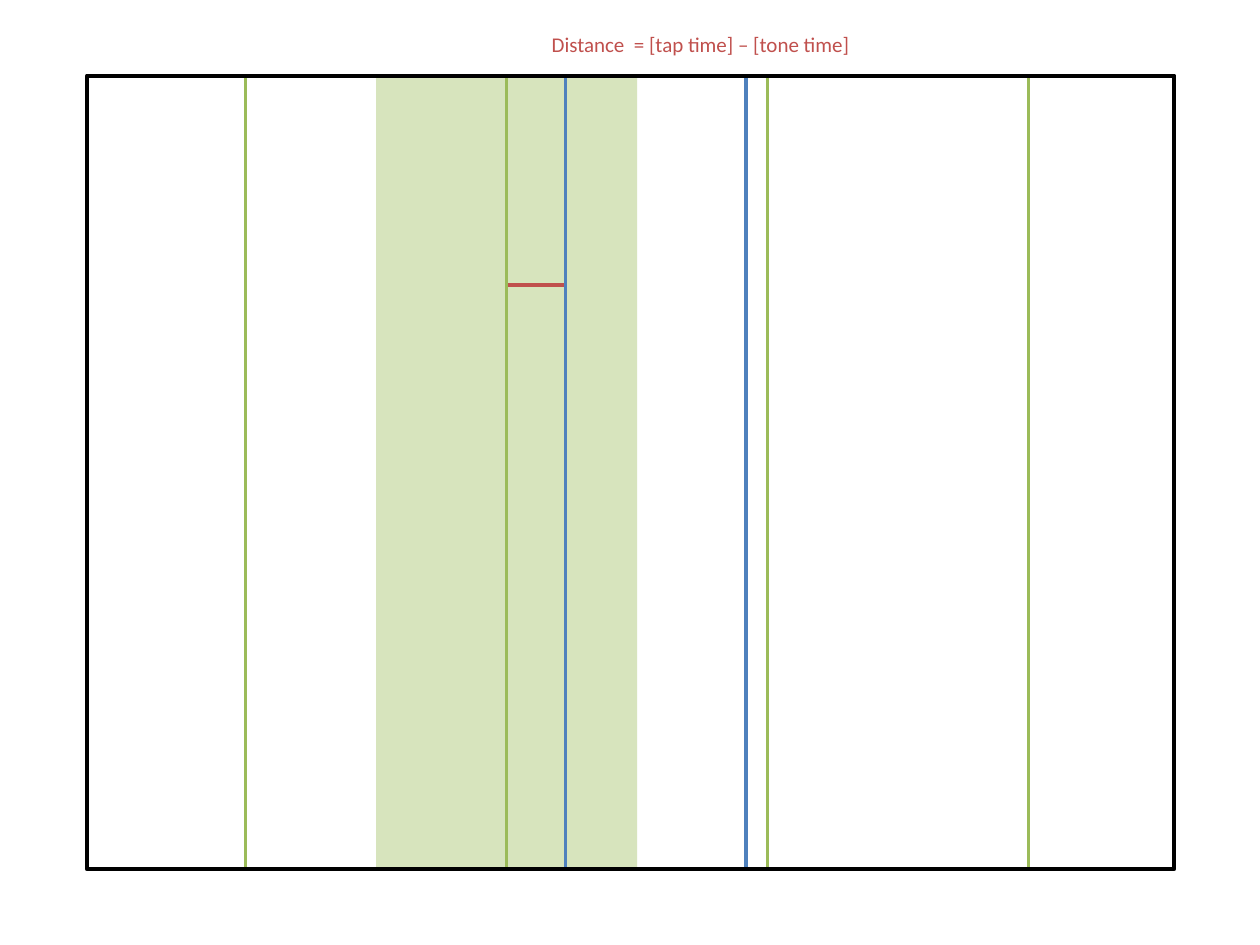
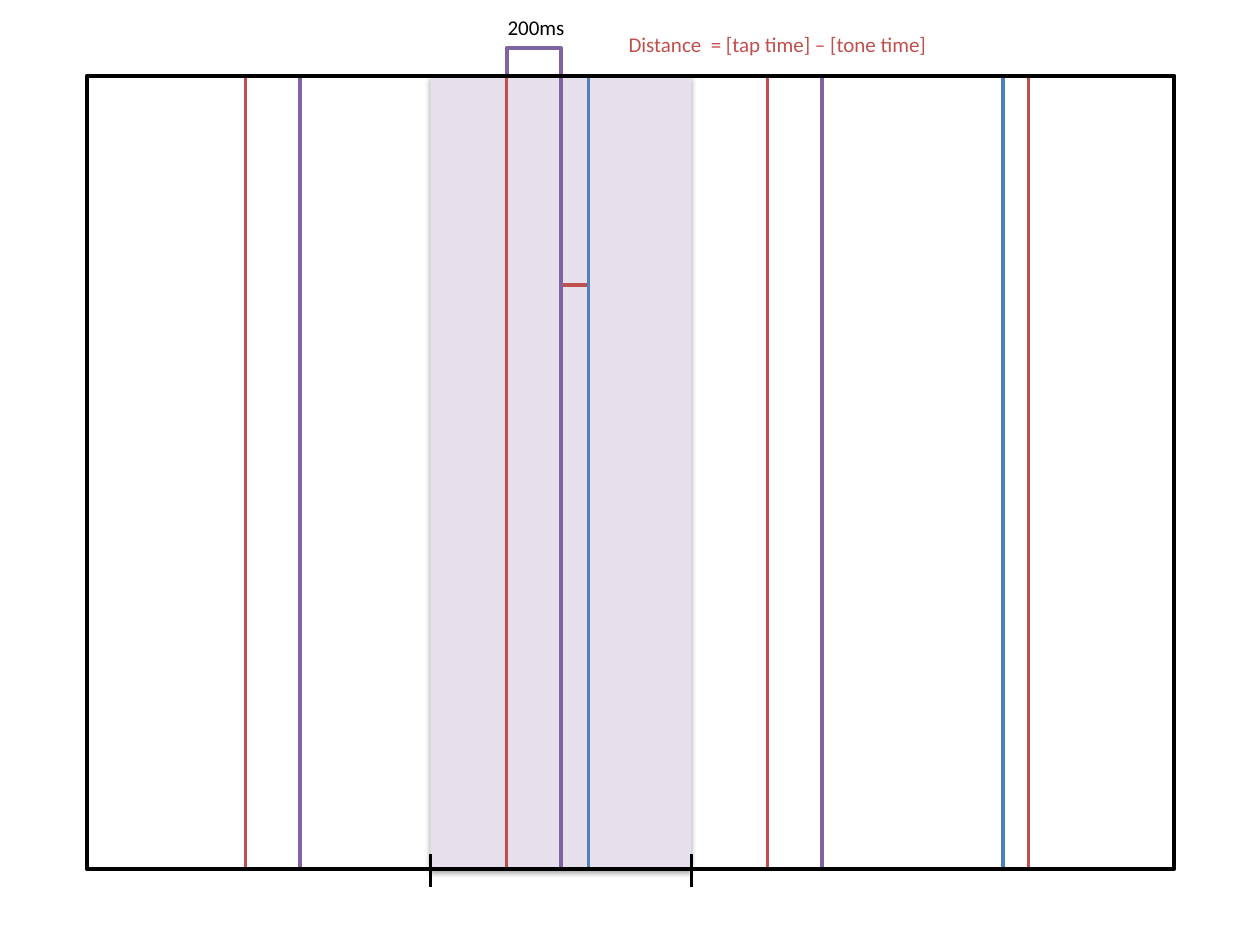
from lxml import etree
from pptx import Presentation, util as u
from pptx.dml.color import RGBColor
from pptx.enum import shapes, text
from pptx.oxml import ns

BLACK, RED, BLUE, GREEN, PURPLE = "000000", "C0504D", "4F81BD", "9BBB59", "8064A2"
PALE_GREEN, PALE_PURPLE = "D7E4BD", "E6E0EC"
LEFT, TOP, WIDTH, HEIGHT = 0.69, 0.6, 8.63, 6.3
BOTTOM = TOP + HEIGHT
BEAT = 0.24 * WIDTH
DELAY = 0.43
DISTANCE_ROW = TOP + 0.264 * HEIGHT
tones = [1.95 + BEAT * column for column in range(4)]
delayed = [tone + DELAY for tone in tones[:3]]

deck = Presentation()
deck.slide_width, deck.slide_height = u.Inches(10), u.Inches(7.5)


def add_box(page, left, top, width, height, fill=None, line=None):
    box = page.shapes.add_shape(
        shapes.MSO_SHAPE.RECTANGLE, *map(u.Inches, (left, top, width, height)))
    box.shadow.inherit = False
    for paint, colour in ((box.fill, fill), (box.line.fill, line)):
        if colour:
            paint.solid()
            paint.fore_color.rgb = RGBColor.from_string(colour)
        else:
            paint.background()
    if line:
        box.line.width = u.Pt(2.25)
    return box


def add_line(page, start_x, start_y, end_x, end_y, colour, weight=2):
    line = page.shapes.add_connector(
        shapes.MSO_CONNECTOR.STRAIGHT, *map(u.Inches, (start_x, start_y, end_x, end_y)))
    line.line.color.rgb = RGBColor.from_string(colour)
    line.line.width = u.Pt(weight)
    etree.SubElement(line._element.spPr, ns.qn("a:effectLst"))


formula = "Distance  = [tap time] – [tone time]"
diagrams = [
    dict(centre=tones[1], band=PALE_GREEN, taps=[4.49, 5.92],
         beats=[(tones, GREEN, 2)],
         captions=[(formula, 4.28, 0.2, 2.6, RED)]),
    dict(centre=delayed[1], band=PALE_PURPLE, taps=[4.67, 7.96],
         beats=[(tones, RED, 2), (delayed, PURPLE, 2.25)],
         captions=[(formula, 4.89, 0.2, 2.6, RED), ("200ms", 3.93, 0.07, 0.66, BLACK)]),
]

for diagram in diagrams:
    page = deck.slides.add_slide(deck.slide_layouts[6])
    centre = diagram["centre"]
    band_left, band_right = centre - BEAT / 2, centre + BEAT / 2
    is_delayed = centre != tones[1]

    if is_delayed:
        add_box(page, tones[1], 0.38, DELAY, TOP - 0.38, line=PURPLE)
    band = add_box(page, band_left, TOP, BEAT, HEIGHT, fill=diagram["band"])
    if is_delayed:
        effects = band._element.spPr.find(ns.qn("a:effectLst"))
        shadow = etree.SubElement(
            effects, ns.qn("a:outerShdw"), blurRad=str(u.Pt(3.1)), dist=str(u.Pt(1.8)),
            dir="5400000", rotWithShape="0")
        tint = etree.SubElement(shadow, ns.qn("a:srgbClr"), val=BLACK)
        etree.SubElement(tint, ns.qn("a:alpha"), val="35000")

    add_line(page, centre, DISTANCE_ROW, diagram["taps"][0], DISTANCE_ROW, RED)
    for tap in diagram["taps"]:
        add_line(page, tap, TOP, tap, BOTTOM, BLUE)
    for times, colour, weight in diagram["beats"]:
        for time in times:
            add_line(page, time, TOP, time, BOTTOM, colour, weight)
    add_box(page, LEFT, TOP, WIDTH, HEIGHT, line=BLACK)

    if is_delayed:
        for edge in (band_left, band_right):
            add_line(page, edge, BOTTOM - 0.12, edge, BOTTOM + 0.14, BLACK)
    for wording, left, top, width, colour in diagram["captions"]:
        caption = page.shapes.add_textbox(*map(u.Inches, (left, top, width, 0.3)))
        caption.text_frame.word_wrap = False
        caption.text_frame.auto_size = text.MSO_AUTO_SIZE.SHAPE_TO_FIT_TEXT
        para = caption.text_frame.paragraphs[0]
        para.text = wording
        para.font.name, para.font.size = "Calibri", u.Pt(12)
        para.font.color.rgb = RGBColor.from_string(colour)

deck.save("out.pptx")
